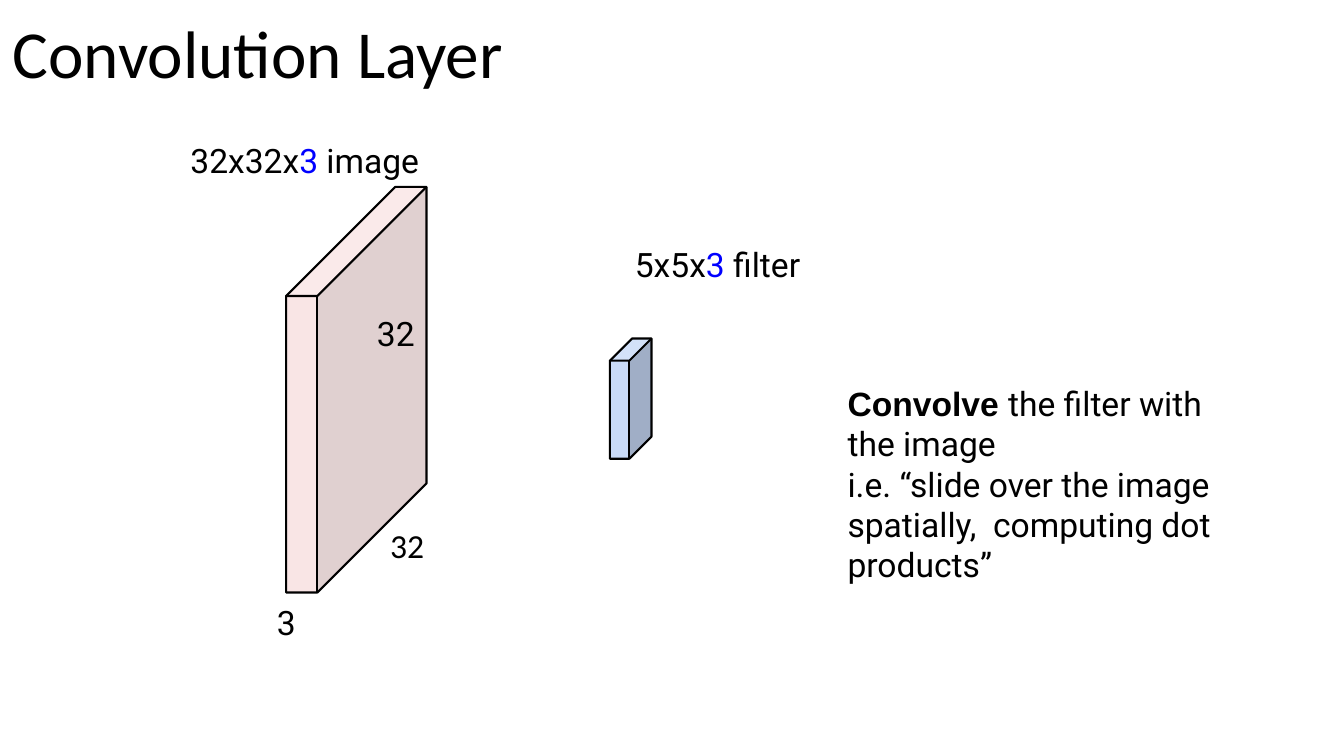
from lxml.etree import SubElement
from pptx import Presentation
from pptx.dml.color import RGBColor
from pptx.oxml.ns import qn
from pptx.util import Cm, Pt

BLACK = RGBColor(0x00, 0x00, 0x00)
BLUE = RGBColor(0x00, 0x00, 0xFF)
PINK_FACES = (RGBColor(0xF4, 0xCC, 0xCC), RGBColor(0xC3, 0xA3, 0xA3),
              RGBColor(0xF6, 0xD6, 0xD6))
BLUE_FACES = (RGBColor(0xC9, 0xDA, 0xF7), RGBColor(0xA0, 0xAE, 0xC6),
              RGBColor(0xD3, 0xE1, 0xF9))


class PageBuilder:
    text_font = "Roboto"
    title_font = "Calibri"
    strong_font = "Arial"
    text_size = Pt(24)
    title_size = Pt(48)
    edge_width = Pt(1.5)

    def __init__(self, page):
        self.page = page

    def text(self, left, top, width, height, *paragraphs, font=None, size=None):
        """Add a text box; each paragraph is a list of (text, overrides) pairs."""
        box = self.page.shapes.add_textbox(Cm(left), Cm(top), Cm(width), Cm(height))
        frame = box.text_frame
        frame.word_wrap = True
        frame.margin_left = frame.margin_right = 0
        frame.margin_top = frame.margin_bottom = 0
        for index, spans in enumerate(paragraphs):
            para = frame.add_paragraph() if index else frame.paragraphs[0]
            for words, style in spans:
                span = para.add_run()
                span.text = words
                span.font.name = style.get("font", font or self.text_font)
                span.font.size = size or self.text_size
                span.font.bold = style.get("bold", False)
                span.font.color.rgb = style.get("color", BLACK)

    def outline(self, group, *contours):
        """Build one freeform from contours, each a list of points in cm."""
        first, *others = [[(Cm(x), Cm(y)) for x, y in points] for points in contours]
        builder = group.shapes.build_freeform(*first[0])
        builder.add_line_segments(first[1:], close=True)
        for points in others:
            builder.move_to(*points[0])
            builder.add_line_segments(points[1:], close=False)
        shape = builder.convert_to_shape()
        shape.shadow.inherit = False
        return shape

    def prism(self, left, top, width, height, depth, colors, opacity=100):
        """Draw a block whose front face starts at left, top; depth runs up and right."""
        right, bottom = left + width, top + height
        front = [(left, top), (right, top), (right, bottom), (left, bottom)]
        back = [(x + depth, y - depth) for x, y in front]
        side = [front[1], back[1], back[2], front[2]]
        lid = [front[0], back[0], back[1], front[1]]
        group = self.page.shapes.add_group_shape()
        for face, color in zip((front, side, lid), colors):
            shape = self.outline(group, face)
            shape.line.fill.background()
            shape.fill.solid()
            shape.fill.fore_color.rgb = color
            if opacity < 100:
                tint = shape.fill._xPr.find(".//" + qn("a:srgbClr"))
                SubElement(tint, qn("a:alpha")).set("val", str(opacity * 1000))
        silhouette = [front[0], back[0], back[1], back[2], front[2], front[3]]
        edges = self.outline(group, silhouette, [front[0], front[1], back[1]],
                             [front[1], front[2]])
        edges.fill.background()
        edges.line.color.rgb = BLACK
        edges.line.width = self.edge_width


def main():
    deck = Presentation()
    deck.slide_width, deck.slide_height = Cm(33.87), Cm(19.05)
    builder = PageBuilder(deck.slides.add_slide(deck.slide_layouts[6]))
    depth_mark = ("3 ", {"color": BLUE})

    builder.prism(7.21, 7.46, 0.79, 7.47, 2.75, PINK_FACES, opacity=51)
    builder.prism(15.37, 9.09, 0.49, 2.47, 0.56, BLUE_FACES)

    builder.text(0.32, 0.28, 13.7, 2.1, [("Convolution Layer", {})],
                 font=builder.title_font, size=builder.title_size)
    builder.text(4.8, 3.53, 6.5, 1.05,
                 [("32x32x", {}), depth_mark, ("image", {})])
    builder.text(16, 6.15, 5.5, 1.05,
                 [("5x5x", {}), depth_mark, ("filter", {})])
    builder.text(9.5, 7.88, 1.2, 1.05, [("32", {})])
    builder.text(9.83, 13.23, 1.2, 1.05, [("32", {})], font=builder.title_font)
    builder.text(6.98, 15.18, 1.2, 1.05, [("3", {})])
    builder.text(21.36, 9.65, 9.9, 5.15,
                 [("Convolve ", {"font": builder.strong_font, "bold": True}),
                  ("the filter with the image", {})],
                 [("i.e. “slide over the image spatially,  computing dot products”", {})])

    deck.save("out.pptx")


if __name__ == "__main__":
    main()
